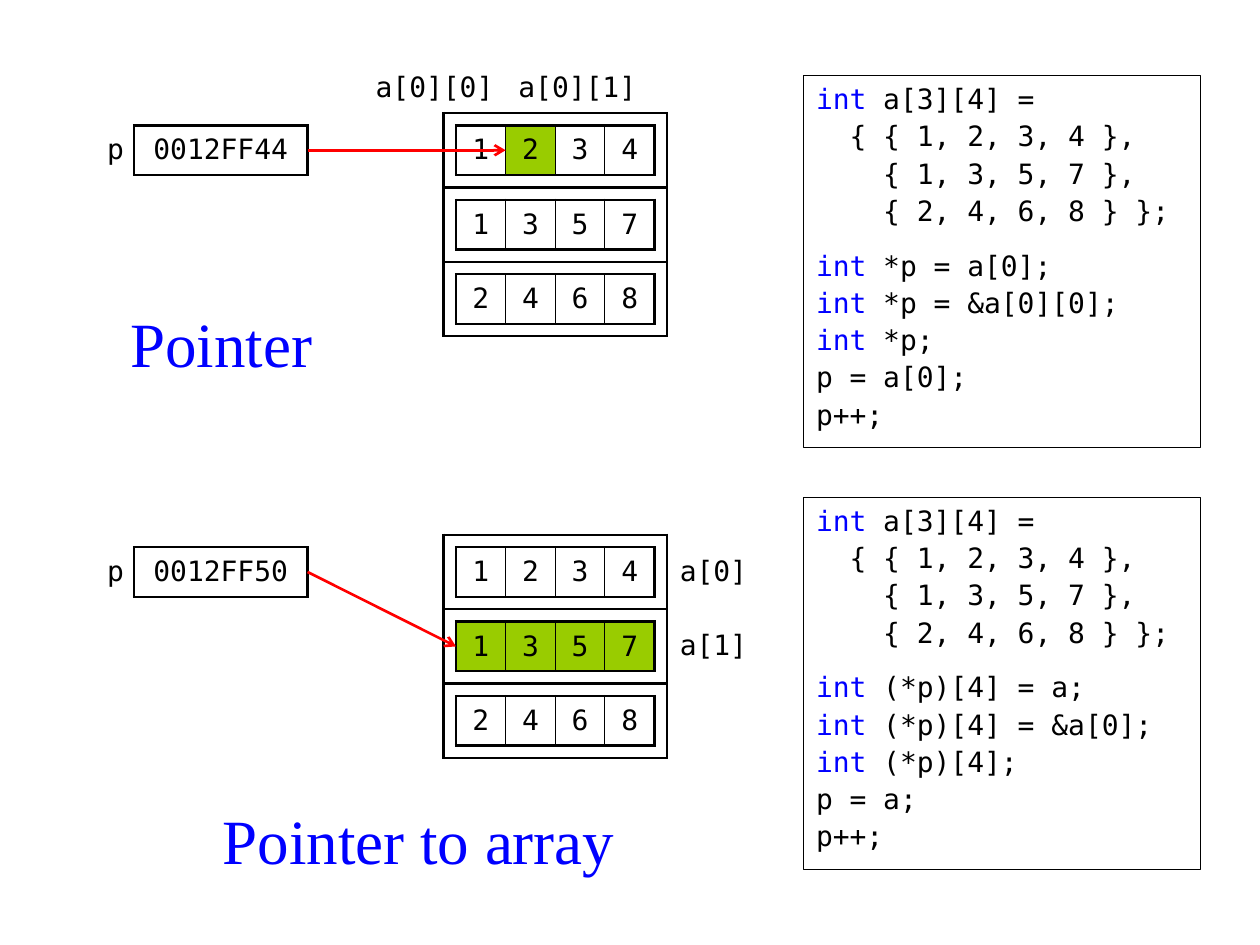
"""Build the slide that compares a pointer with a pointer to an array."""
import pptx
import pptx.dml.color
import pptx.enum.shapes
import pptx.enum.text
import pptx.oxml
import pptx.oxml.ns
import pptx.util

Pt = pptx.util.Pt
RGBColor = pptx.dml.color.RGBColor
Align = pptx.enum.text.PP_ALIGN
qn = pptx.oxml.ns.qn

BLACK = RGBColor(0x00, 0x00, 0x00)
WHITE = RGBColor(0xFF, 0xFF, 0xFF)
BLUE = RGBColor(0x00, 0x00, 0xFF)
RED = RGBColor(0xFF, 0x00, 0x00)
GREEN = RGBColor(0x99, 0xCC, 0x00)

MONO = "DejaVu Sans Mono"
SERIF = "Times New Roman"

CELL = 28.35
ROW = 1.5 * CELL
INSET = CELL / 4
MATRIX_LEFT = 253.5
VALUES_LEFT = MATRIX_LEFT + INSET
POINTER_LEFT = 48.2
ADDRESS_WIDTH = 3.5 * CELL
THICK, THIN = 1.5, 0.75

MATRIX = [[1, 2, 3, 4], [1, 3, 5, 7], [2, 4, 6, 8]]
DECLARATION = ["int a[3][4] =", "  { { 1, 2, 3, 4 },", "    { 1, 3, 5, 7 },", "    { 2, 4, 6, 8 } };"]


class SlideBuilder:
    def __init__(self, slide):
        self.slide = slide

    def add_run(self, paragraph, text, size=16, font=MONO, color=BLACK):
        run = paragraph.add_run()
        run.text = text
        run.font.size = Pt(size)
        run.font.name = font
        run.font.color.rgb = color

    def text_box(self, left, top, width, height):
        shape = self.slide.shapes.add_textbox(Pt(left), Pt(top), Pt(width), Pt(height))
        shape.text_frame.word_wrap = True
        return shape

    def label(self, text, left, top, width, align=Align.LEFT):
        paragraph = self.text_box(left, top, width, CELL).text_frame.paragraphs[0]
        paragraph.alignment = align
        self.add_run(paragraph, text)

    def heading(self, text, left, top, width):
        paragraph = self.text_box(left, top, width, 2 * CELL).text_frame.paragraphs[0]
        paragraph.alignment = Align.CENTER
        paragraph.space_before = Pt(6)
        self.add_run(paragraph, text, 36, SERIF, BLUE)

    def code(self, top, statements):
        shape = self.text_box(459.2, top, 226.8, 212.6)
        shape.line.color.rgb = BLACK
        shape.line.width = Pt(THIN)
        for index, line in enumerate(DECLARATION + statements):
            frame = shape.text_frame
            paragraph = frame.add_paragraph() if index else frame.paragraphs[0]
            paragraph.space_before = Pt(12 if index == len(DECLARATION) else 2.1)
            if line.startswith("int"):
                self.add_run(paragraph, "int", color=BLUE)
                line = line[3:]
            self.add_run(paragraph, line)

    def table(self, left, top, widths, height, rows=1):
        frame = self.slide.shapes.add_table(
            rows, len(widths), Pt(left), Pt(top), Pt(sum(widths)), Pt(height * rows))
        table = frame.table
        table.first_row = table.horz_banding = False
        for column, width in zip(table.columns, widths):
            column.width = Pt(width)
        for row in table.rows:
            row.height = Pt(height)
        return table

    def cell(self, cell, borders, text="", fill=None, align=Align.CENTER):
        properties = cell._tc.get_or_add_tcPr()
        for side, width in zip("LRTB", borders):
            line = pptx.oxml.ns.nsdecls("a")
            paint = f'<a:solidFill><a:srgbClr val="{BLACK}"/></a:solidFill>' if width else "<a:noFill/>"
            properties.append(pptx.oxml.parse_xml(
                f'<a:ln{side} {line} w="{Pt(width)}">{paint}</a:ln{side}>'))
        if fill is None:
            cell.fill.background()
        else:
            cell.fill.solid()
            cell.fill.fore_color.rgb = fill
        cell.vertical_anchor = pptx.enum.text.MSO_ANCHOR.MIDDLE
        cell.margin_left = cell.margin_right = Pt(5.76)
        cell.margin_top = cell.margin_bottom = Pt(3)
        if text:
            paragraph = cell.text_frame.paragraphs[0]
            paragraph.alignment = align
            self.add_run(paragraph, text)

    def matrix(self, top, highlighted):
        outer = self.table(MATRIX_LEFT, top, [4.5 * CELL], ROW, len(MATRIX))
        for cell in outer.iter_cells():
            self.cell(cell, [THICK] * 4)
        for row, values in enumerate(MATRIX):
            inner = self.table(VALUES_LEFT, top + INSET + row * ROW, [CELL] * len(values), CELL)
            for column, value in enumerate(values):
                left = THIN if column else THICK
                right = THIN if column < len(values) - 1 else THICK
                fill = GREEN if (row, column) in highlighted else WHITE
                self.cell(inner.cell(0, column), [left, right, THICK, THICK], str(value), fill)

    def pointer(self, top, address):
        table = self.table(POINTER_LEFT, top, [CELL, ADDRESS_WIDTH], CELL)
        self.cell(table.cell(0, 0), [0, THICK, 0, 0], "p", align=Align.RIGHT)
        self.cell(table.cell(0, 1), [THICK] * 4, address)

    def arrow(self, start_x, start_y, end_x, end_y):
        connector = self.slide.shapes.add_connector(
            pptx.enum.shapes.MSO_CONNECTOR.STRAIGHT, Pt(start_x), Pt(start_y), Pt(end_x), Pt(end_y))
        connector.line.color.rgb = RED
        connector.line.width = Pt(THICK)
        line = connector.line._get_or_add_ln()
        line.append(line.makeelement(qn("a:tailEnd"), {"type": "arrow"}))
        properties = connector._element.spPr
        properties.append(properties.makeelement(qn("a:effectLst"), {}))

    def example(self, top, address, statements, highlighted):
        self.code(top - 21.4, statements)
        self.matrix(top, highlighted)
        self.pointer(top + INSET, address)
        row, column = min(highlighted)
        middle = top + INSET + CELL / 2
        self.arrow(POINTER_LEFT + CELL + ADDRESS_WIDTH, middle,
                   VALUES_LEFT + column * CELL, middle + row * ROW)


def main():
    presentation = pptx.Presentation()
    presentation.slide_width, presentation.slide_height = Pt(720), Pt(540)
    builder = SlideBuilder(presentation.slides.add_slide(presentation.slide_layouts[6]))

    pointer_top, array_top = 64.6, 305.6
    builder.example(pointer_top, "0012FF44",
                    ["int *p = a[0];", "int *p = &a[0][0];", "int *p;", "p = a[0];", "p++;"],
                    {(0, 1)})
    builder.example(array_top, "0012FF50",
                    ["int (*p)[4] = a;", "int (*p)[4] = &a[0];", "int (*p)[4];", "p = a;", "p++;"],
                    {(1, column) for column in range(4)})

    builder.label("a[0][0]", 204, 36, 3 * CELL, Align.RIGHT)
    builder.label("a[0][1]", 289.2, 36, 3 * CELL)
    for row in range(2):
        builder.label(f"a[{row}]", 381.4, array_top + INSET + row * ROW, 2 * CELL)
    builder.heading("Pointer", 62.6, 170.6, 127.6)
    builder.heading("Pointer to array", 118.8, 454.3, 241)
    presentation.save("out.pptx")


if __name__ == "__main__":
    main()
